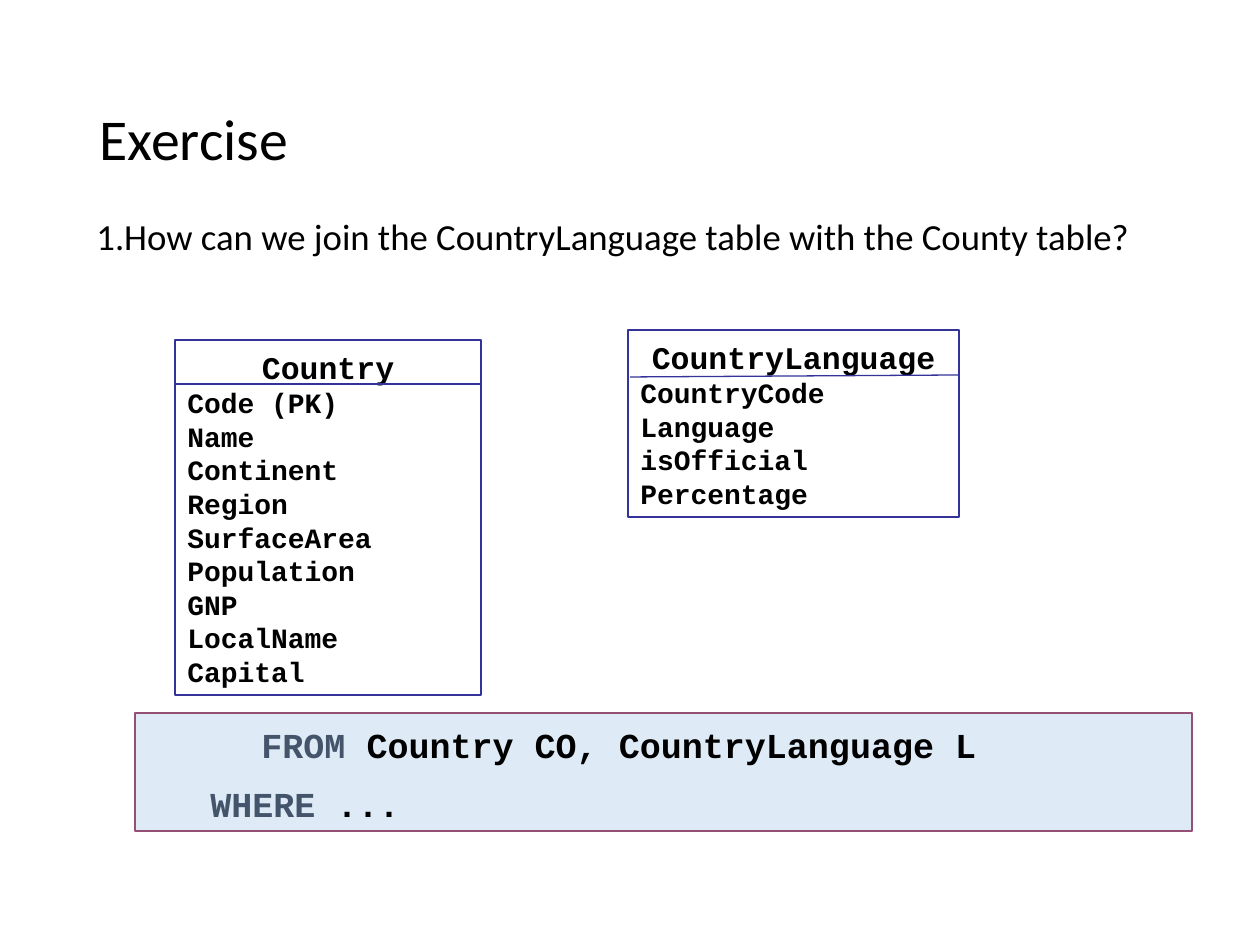
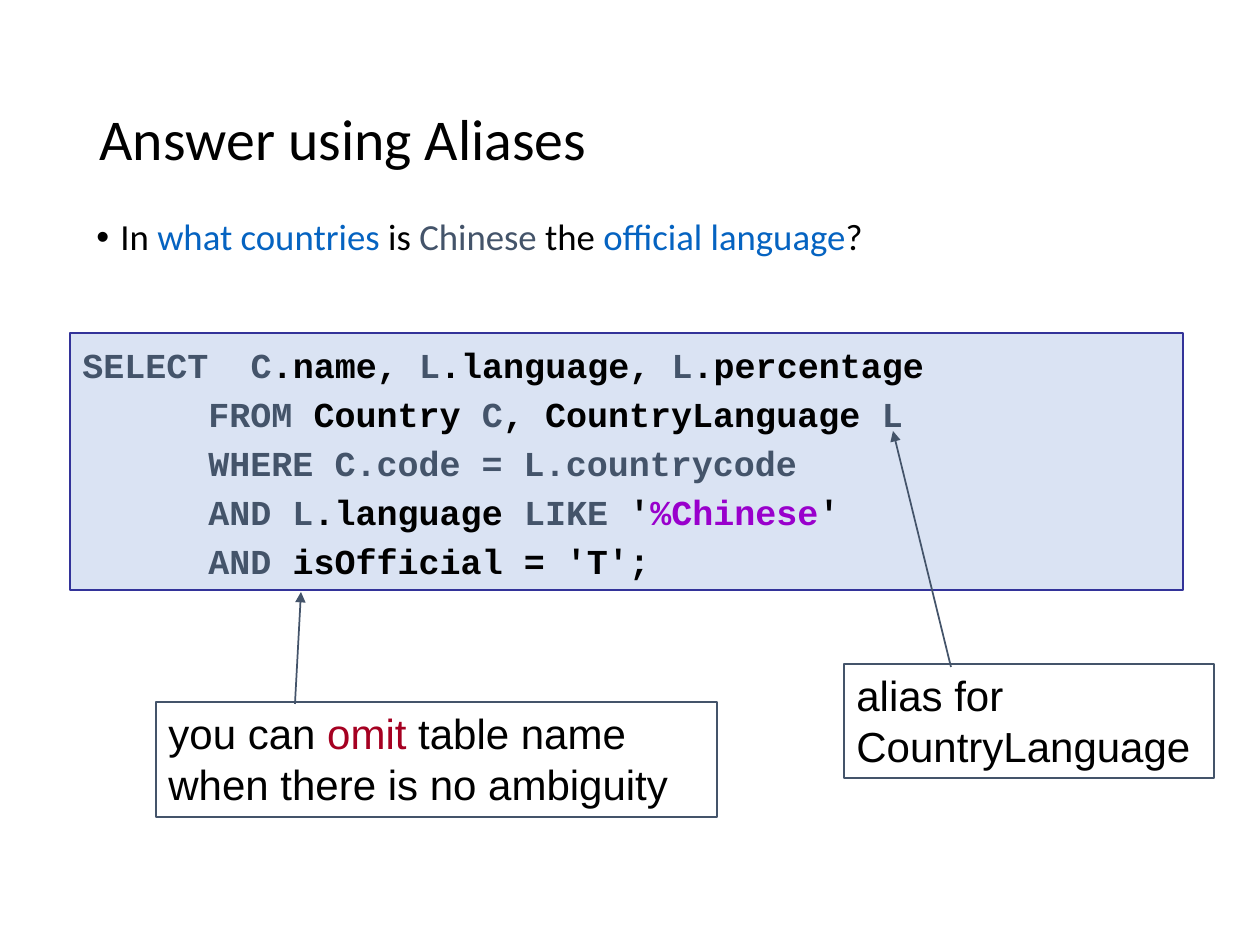
from pptx import Presentation
from pptx.dml.color import RGBColor
from pptx.enum.shapes import MSO_CONNECTOR, MSO_SHAPE
from pptx.enum.text import MSO_ANCHOR, PP_ALIGN
from pptx.oxml.ns import qn
from pptx.util import Inches, Pt
from lxml.etree import SubElement

PX = Inches(1) / 126
BLACK, SLATE, NAVY = "000000", "44546A", "333399"
BLUE, PURPLE, RED, MAUVE = "0563C1", "9900CC", "A50021", "954F72"

TITLE_BOX = (87, 50, 1086, 183)
TITLE = dict(name="Calibri", size=33)
BODY = dict(name="Calibri", size=21)
HEADING = dict(name="Courier New", size=18, bold=True)
FIELD = dict(name="Courier New", size=16, bold=True)
CODE = dict(name="Courier New", size=20, bold=True)
CALLOUT = dict(name="Arial", size=24)

SLIDES = [
    dict(
        title="Exercise",
        question=("1.", 130, [("How can we join the CountryLanguage table with the County table?", BLACK)]),
        entities=[
            ((175, 340, 306, 355), "Country",
             ["Code (PK)", "Name", "Continent", "Region", "SurfaceArea",
              "Population", "GNP", "LocalName", "Capital"],
             (174, 384, 482, 384)),
            ((628, 330, 331, 187), "CountryLanguage",
             ["CountryCode", "Language", "isOfficial", "Percentage"],
             (630, 377, 960, 375)),
        ],
        code=dict(
            place=(135, 713, 1057, 118), fill="DEEBF7", line=(MAUVE, 0.75), gap=10,
            rows=[
                (114, [("FROM", SLATE), (" Country CO, CountryLanguage L", BLACK)]),
                (63, [("WHERE", SLATE), (" ...", BLACK)]),
            ]),
        callouts=[],
    ),
    dict(
        title="Answer using Aliases",
        question=("•", 82, [("In ", BLACK), ("what countries", BLUE), (" is ", BLACK),
                            ("Chinese", SLATE), (" the ", BLACK),
                            ("official language", BLUE), ("?", BLACK)]),
        entities=[],
        code=dict(
            place=(70, 333, 1113, 257), fill="DAE3F3", line=(NAVY, 1), gap=4,
            rows=[
                (0, [("SELECT  C", SLATE), (".name, ", BLACK), ("L", SLATE),
                     (".language, ", BLACK), ("L", SLATE), (".percentage", BLACK)]),
                (126, [("FROM", SLATE), (" Country ", BLACK), ("C", SLATE),
                       (", CountryLanguage ", BLACK), ("L", SLATE)]),
                (126, [("WHERE C.code = L.countrycode", SLATE)]),
                (126, [("AND L", SLATE), (".language ", BLACK), ("LIKE", SLATE),
                       (" '", BLACK), ("%Chinese", PURPLE), ("'", BLACK)]),
                (126, [("AND", SLATE), (" isOfficial = 'T';", BLACK)]),
            ]),
        callouts=[
            ((844, 664, 370, 114), [("alias for CountryLanguage", BLACK)], (951, 667, 893, 431)),
            ((156, 702, 561, 115),
             [("you can ", BLACK), ("omit", RED), (" table name when there is no ambiguity", BLACK)],
             (295, 704, 301, 592)),
        ],
    ),
]


def px(*lengths):
    return [round(length * PX) for length in lengths]


def colour(value):
    return RGBColor.from_string(value)


def write(para, spans, style, **layout):
    for key, value in layout.items():
        setattr(para, key, value)
    for text, ink in spans:
        span = para.add_run()
        span.text = text
        for key, value in style.items():
            setattr(span.font, key, Pt(value) if key == "size" else value)
        span.font.color.rgb = colour(ink)


def paragraphs(frame, count):
    return [frame.paragraphs[0]] + [frame.add_paragraph() for _ in range(count - 1)]


def exact_height(style):
    return Pt(style["size"] * 1.2)


def indent(para, left, first=0):
    properties = para._p.get_or_add_pPr()
    for key, value in zip(("marL", "indent"), px(left, first)):
        properties.set(key, str(value))
    return properties


def add_box(page, place, line, fill=None, top_inset=6):
    box = page.shapes.add_shape(MSO_SHAPE.RECTANGLE, *px(*place))
    box.shadow.inherit = False
    if fill:
        box.fill.solid()
        box.fill.fore_color.rgb = colour(fill)
    else:
        box.fill.background()
    box.line.color.rgb = colour(line[0])
    box.line.width = Pt(line[1])
    frame = box.text_frame
    frame.word_wrap = True
    frame.vertical_anchor = MSO_ANCHOR.TOP
    frame.margin_top = px(top_inset)[0]
    return frame


def add_line(page, ends, ink, width, arrow=False):
    line = page.shapes.add_connector(MSO_CONNECTOR.STRAIGHT, *px(*ends))
    line.line.color.rgb = colour(ink)
    line.line.width = Pt(width)
    if arrow:
        SubElement(line.line._get_or_add_ln(), qn("a:tailEnd"), type="triangle")
    SubElement(line._element.spPr, qn("a:effectLst"))


def add_title(page, text):
    title = page.shapes.title
    title.left, title.top, title.width, title.height = px(*TITLE_BOX)
    title.text_frame.vertical_anchor = MSO_ANCHOR.MIDDLE
    write(title.text_frame.paragraphs[0], [(text, BLACK)], TITLE,
          alignment=PP_ALIGN.LEFT, line_spacing=0.9)


def add_question(page, marker, height, spans):
    box = page.shapes.add_textbox(*px(84, 213, 1091, height))
    box.text_frame.word_wrap = True
    para = box.text_frame.paragraphs[0]
    para.line_spacing = 0.9
    properties = indent(para, 24, -24)
    if marker == "•":
        SubElement(properties, qn("a:buFont"), typeface="Arial")
        SubElement(properties, qn("a:buChar"), char=marker)
    else:
        SubElement(properties, qn("a:buFont"), typeface="Calibri")
        SubElement(properties, qn("a:buAutoNum"), type="arabicPeriod")
    write(para, spans, BODY)


def add_entity(page, place, name, fields, divider):
    frame = add_box(page, place, (NAVY, 1), top_inset=8)
    for row, (para, text) in enumerate(zip(paragraphs(frame, len(fields) + 1), [name] + fields)):
        style = FIELD if row else HEADING
        write(para, [(text, BLACK)], style, line_spacing=exact_height(style),
              alignment=PP_ALIGN.LEFT if row else PP_ALIGN.CENTER)
    add_line(page, divider, NAVY, 0.75)


def add_code(page, place, fill, line, gap, rows):
    frame = add_box(page, place, line, fill, top_inset=10)
    for row, (para, (left, spans)) in enumerate(zip(paragraphs(frame, len(rows)), rows)):
        indent(para, left)
        write(para, spans, CODE, alignment=PP_ALIGN.LEFT,
              line_spacing=exact_height(CODE), space_before=Pt(gap if row else 0))


def add_callout(page, place, spans, arrow):
    frame = add_box(page, place, (SLATE, 0.75))
    write(frame.paragraphs[0], spans, CALLOUT, alignment=PP_ALIGN.LEFT,
          line_spacing=exact_height(CALLOUT))
    add_line(page, arrow, SLATE, 1, arrow=True)


def main():
    deck = Presentation()
    deck.slide_width, deck.slide_height = Inches(10), Inches(7.5)
    for content in SLIDES:
        page = deck.slides.add_slide(deck.slide_layouts[5])
        add_title(page, content["title"])
        add_question(page, *content["question"])
        for entity in content["entities"]:
            add_entity(page, *entity)
        add_code(page, **content["code"])
        for callout in content["callouts"]:
            add_callout(page, *callout)
    deck.save("out.pptx")


if __name__ == "__main__":
    main()
